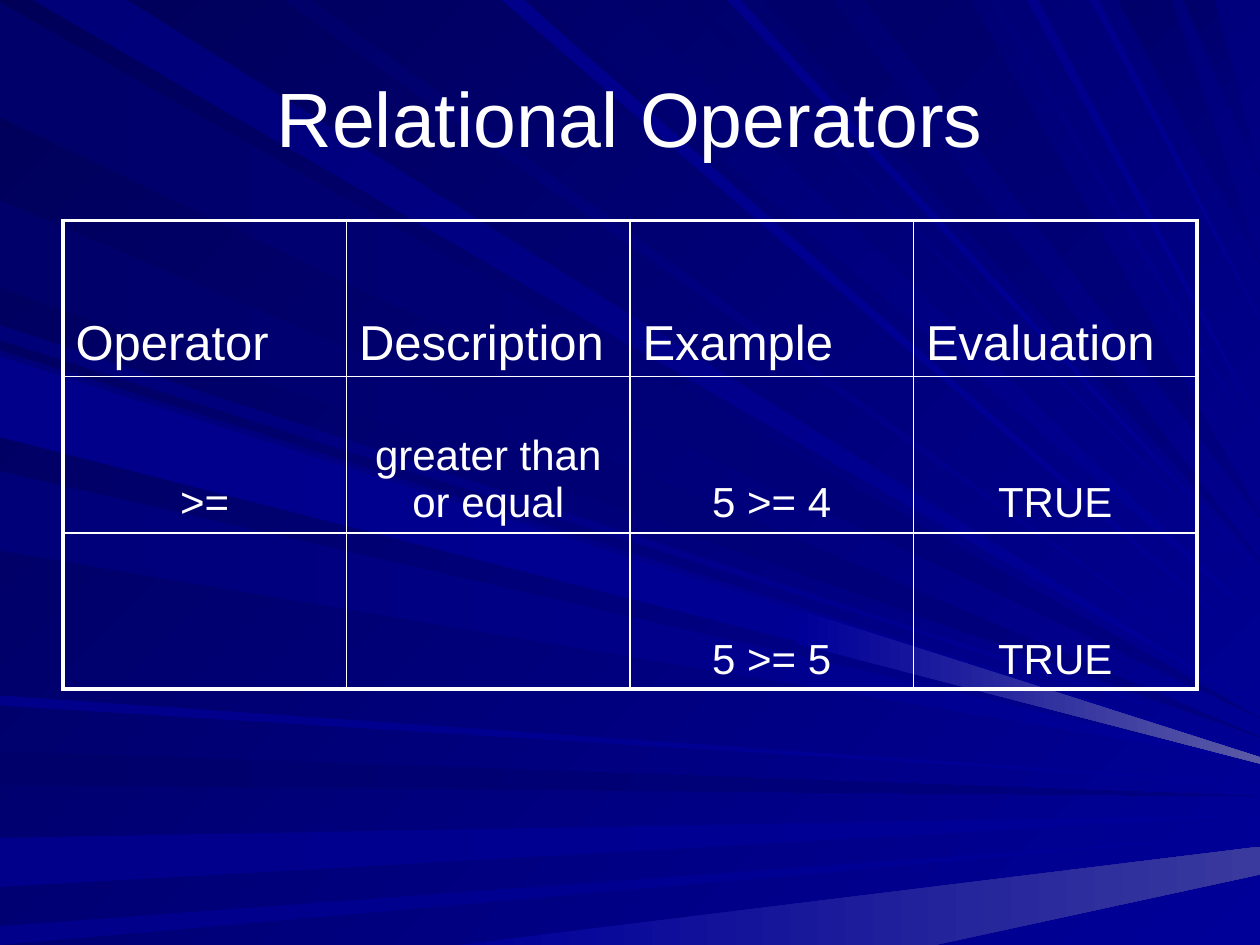
from dataclasses import dataclass
from typing import Any

import pptx
import pptx.enum.text
import pptx.oxml
import pptx.oxml.ns
import pptx.util
from pptx.dml.color import RGBColor
from pptx.util import Inches

FONT = "Arial"
WHITE = RGBColor.from_string("FFFFFF")
MIDNIGHT = RGBColor.from_string("000058")
DARK = RGBColor.from_string("00006B")
DEEP = RGBColor.from_string("000078")
NAVY = RGBColor.from_string("000080")
ROYAL = RGBColor.from_string("00008A")
BLUE = RGBColor.from_string("000099")
SLATE = RGBColor.from_string("39399E")
LAVENDER = RGBColor.from_string("5A5AA6")

LEFT = pptx.enum.text.PP_ALIGN.LEFT
CENTER = pptx.enum.text.PP_ALIGN.CENTER
MIDDLE = pptx.enum.text.MSO_ANCHOR.MIDDLE
BOTTOM = pptx.enum.text.MSO_ANCHOR.BOTTOM

WIDTH = 10
HEIGHT = 7.5
THIN = 1
THICK = 2.25
ROWS = [
    ["Operator", "Description", "Example", "Evaluation"],
    [">=", "greater than or equal", "5 >= 4", "TRUE"],
    ["", "", "5 >= 5", "TRUE"],
]


@dataclass(frozen=True)
class Ray:
    near: float
    far: float
    tip: float
    start: RGBColor
    end: RGBColor


LEFT_RAYS = [
    Ray(0.02, 0.93, 5.7, DARK, NAVY),
    Ray(5.96, 6.23, 6.32, DARK, NAVY),
    Ray(6.65, 7.04, 6.47, ROYAL, BLUE),
    Ray(7.35, HEIGHT, 6.62, ROYAL, BLUE),
    Ray(2.58, 2.7, 5.89, DEEP, BLUE),
    Ray(1.59, 2.28, 5.85, DARK, NAVY),
    Ray(2.78, 3.42, 5.99, DEEP, BLUE),
    Ray(3.74, 4.37, 6.05, DEEP, BLUE),
    Ray(5.52, 5.6, 6.22, ROYAL, BLUE),
    Ray(2.83, 3.47, 6.03, ROYAL, BLUE),
]
TOP_RAYS = [
    Ray(0.26, 1.01, 5.63, DEEP, BLUE),
    Ray(3.98, 4.16, 5.18, ROYAL, BLUE),
    Ray(4.26, 4.92, 4.93, DARK, BLUE),
    Ray(5.4, 5.52, 4.63, DARK, BLUE),
    Ray(6.06, 6.61, 4.45, DARK, NAVY),
    Ray(8.87, 9.3, 2.1, DARK, NAVY),
    Ray(9.39, 9.64, 1.4, DARK, NAVY),
    Ray(2.25, 2.47, 5.5, DARK, BLUE),
    Ray(5.77, 5.88, 4.54, ROYAL, BLUE),
    Ray(6.86, 7.7, 4.1, DARK, NAVY),
    Ray(7.85, 7.92, 3.57, DEEP, BLUE),
    Ray(8.15, 8.24, 3.36, ROYAL, BLUE),
    Ray(8.65, 8.72, 2.54, ROYAL, BLUE),
]
CORNER_BEAM = [(3.64, HEIGHT), (WIDTH, 6.72), (WIDTH, 6.94), (7.42, HEIGHT)]
BRIGHT_BEAM = [(6.37, 4.85), (6.33, 5.11), (WIDTH, 6.06), (WIDTH, 6.01)]


def fill_gradient(fill: Any, start: RGBColor, end: RGBColor, angle: int) -> None:
    fill.gradient()
    fill.gradient_angle = 360 - angle
    for stop, color in zip(fill.gradient_stops, (start, end)):
        stop.color.rgb = color


def draw_beam(
    shapes: Any, points: list[tuple[float, float]], start: RGBColor, end: RGBColor, angle: int = 0
) -> None:
    first, *others = [(Inches(x), Inches(y)) for x, y in points]
    builder = shapes.build_freeform(*first)
    builder.add_line_segments(others, close=True)
    shape = builder.convert_to_shape()
    shape.shadow.inherit = False
    shape.line.fill.background()
    fill_gradient(shape.fill, start, end, angle)


def draw_rays(shapes: Any) -> None:
    draw_beam(shapes, CORNER_BEAM, BLUE, SLATE)
    for ray in LEFT_RAYS:
        draw_beam(shapes, [(0, ray.near), (0, ray.far), (WIDTH, ray.tip)], ray.start, ray.end)
    for ray in TOP_RAYS:
        draw_beam(shapes, [(ray.near, 0), (ray.far, 0), (WIDTH, ray.tip)], ray.start, ray.end, 45)
    draw_beam(shapes, BRIGHT_BEAM, BLUE, LAVENDER)


def write_text(text_frame: Any, text: str, *, size: float, align: Any = LEFT, color: RGBColor = WHITE) -> None:
    text_frame.word_wrap = True
    paragraph = text_frame.paragraphs[0]
    paragraph.alignment = align
    run = paragraph.add_run()
    run.text = text
    run.font.name = FONT
    run.font.size = pptx.util.Pt(size)
    run.font.color.rgb = color


def set_borders(cell: Any, widths: dict[str, float]) -> None:
    properties = cell._tc.get_or_add_tcPr()
    namespace = pptx.oxml.ns.nsdecls("a")
    for side, width in widths.items():
        properties.append(pptx.oxml.parse_xml(
            f'<a:ln{side} {namespace} w="{pptx.util.Pt(width)}"><a:solidFill>'
            f'<a:srgbClr val="{WHITE}"/></a:solidFill></a:ln{side}>'
        ))


def draw_table(slide: Any) -> None:
    last_row, last_column = len(ROWS) - 1, len(ROWS[0]) - 1
    table = slide.shapes.add_table(
        len(ROWS), len(ROWS[0]), Inches(0.5), Inches(1.75), Inches(9), Inches(3.72)
    ).table
    table.first_row = False
    table.horz_banding = False
    for row, texts in enumerate(ROWS):
        for column, text in enumerate(texts):
            cell = table.cell(row, column)
            cell.vertical_anchor = BOTTOM
            set_borders(cell, {
                "L": THICK if column == 0 else THIN,
                "R": THICK if column == last_column else THIN,
                "T": THICK if row == 0 else THIN,
                "B": THICK if row == last_row else THIN,
            })
            cell.fill.background()
            if text:
                header = row == 0
                write_text(cell.text_frame, text, size=28 if header else 24, align=LEFT if header else CENTER)


def main() -> None:
    presentation = pptx.Presentation()
    presentation.slide_width = Inches(WIDTH)
    presentation.slide_height = Inches(HEIGHT)
    slide = presentation.slides.add_slide(presentation.slide_layouts[5])
    fill_gradient(slide.background.fill, MIDNIGHT, BLUE, 45)

    rays = slide.shapes.add_group_shape()
    draw_rays(rays.shapes)

    title = slide.shapes.title
    rays.element.addnext(title.element)
    title.left, title.top = Inches(0.5), Inches(0.3)
    title.width, title.height = Inches(9), Inches(1.25)
    title.text_frame.vertical_anchor = MIDDLE
    write_text(title.text_frame, "Relational Operators", size=44, align=CENTER)

    draw_table(slide)
    presentation.save("out.pptx")


if __name__ == "__main__":
    main()
